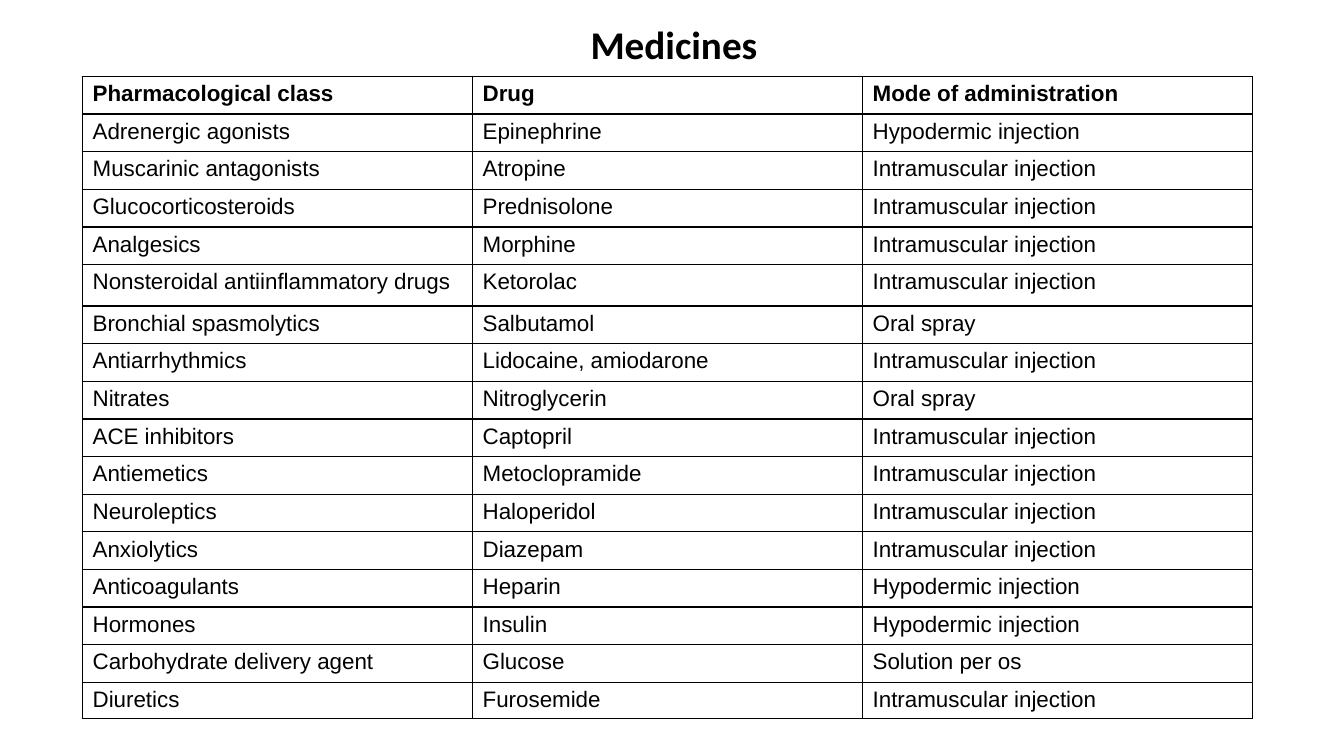
from dataclasses import dataclass

from pptx import Presentation
from pptx.dml.color import RGBColor
from pptx.enum.text import MSO_ANCHOR as Anchor, MSO_AUTO_SIZE as AutoSize, PP_ALIGN as Align
from pptx.oxml import parse_xml
from pptx.oxml.ns import nsdecls
from pptx.util import Pt


@dataclass(frozen=True)
class Theme:
    ink: RGBColor = RGBColor(0, 0, 0)
    paper: RGBColor = RGBColor(255, 255, 255)
    heading_font: str = "Calibri"
    heading_size: int = 28
    table_font: str = "Arial"
    table_size: int = 16
    border: int = 1


def style(paragraph, font_name, size, bold):
    font = paragraph.font
    font.name, font.size, font.bold = font_name, Pt(size), bold
    font.color.rgb = theme.ink


def add_borders(cell):
    properties = cell._tc.get_or_add_tcPr()
    for position, side in enumerate(("lnL", "lnR", "lnT", "lnB")):
        properties.insert(position, parse_xml(
            f'<a:{side} {nsdecls("a")} w="{Pt(theme.border)}">'
            f'<a:solidFill><a:srgbClr val="{theme.ink}"/></a:solidFill></a:{side}>'))


theme = Theme()
IM = "Intramuscular injection"
HYPODERMIC = "Hypodermic injection"
SPRAY = "Oral spray"
medicines = [
    ("Pharmacological class", "Drug", "Mode of administration"),
    ("Adrenergic agonists", "Epinephrine", HYPODERMIC),
    ("Muscarinic antagonists", "Atropine", IM),
    ("Glucocorticosteroids", "Prednisolone", IM),
    ("Analgesics", "Morphine", IM),
    ("Nonsteroidal antiinflammatory drugs", "Ketorolac", IM),
    ("Bronchial spasmolytics", "Salbutamol", SPRAY),
    ("Antiarrhythmics", "Lidocaine, amiodarone", IM),
    ("Nitrates", "Nitroglycerin", SPRAY),
    ("ACE inhibitors", "Captopril", IM),
    ("Antiemetics", "Metoclopramide", IM),
    ("Neuroleptics", "Haloperidol", IM),
    ("Anxiolytics", "Diazepam", IM),
    ("Anticoagulants", "Heparin", HYPODERMIC),
    ("Hormones", "Insulin", HYPODERMIC),
    ("Сarbohydrate delivery agent", "Glucose", "Solution per os"),
    ("Diuretics", "Furosemide", IM),
]
column_width = 278.6
row_heights = [26.9] * len(medicines)
row_heights[5] = 29.7
row_heights[-1] = 25.9

deck = Presentation()
deck.slide_width, deck.slide_height = Pt(960), Pt(540)
slide = deck.slides.add_slide(deck.slide_layouts[5])
slide.background.fill.solid()
slide.background.fill.fore_color.rgb = theme.paper

heading = slide.shapes.title
heading.left, heading.top, heading.width, heading.height = Pt(414.8), Pt(11), Pt(133.2), Pt(41.2)
heading_frame = heading.text_frame
heading_frame.text = "Medicines"
heading_frame.margin_left = heading_frame.margin_right = 0
heading_frame.word_wrap = False
heading_frame.auto_size = AutoSize.NONE
heading_frame.vertical_anchor = Anchor.TOP
heading_frame.paragraphs[0].alignment = Align.CENTER
style(heading_frame.paragraphs[0], theme.heading_font, theme.heading_size, True)

medicine_table = slide.shapes.add_table(
    len(medicines), 3, Pt(59), Pt(54.6), Pt(3 * column_width), Pt(sum(row_heights))).table
medicine_table.horz_banding = False
for column in medicine_table.columns:
    column.width = Pt(column_width)

for r, (entry, height) in enumerate(zip(medicines, row_heights)):
    medicine_table.rows[r].height = Pt(height)
    for c, wording in enumerate(entry):
        cell = medicine_table.cell(r, c)
        cell.text = wording
        cell.vertical_anchor = Anchor.TOP
        cell.fill.background()
        add_borders(cell)
        style(cell.text_frame.paragraphs[0], theme.table_font, theme.table_size, r == 0)

deck.save("out.pptx")
